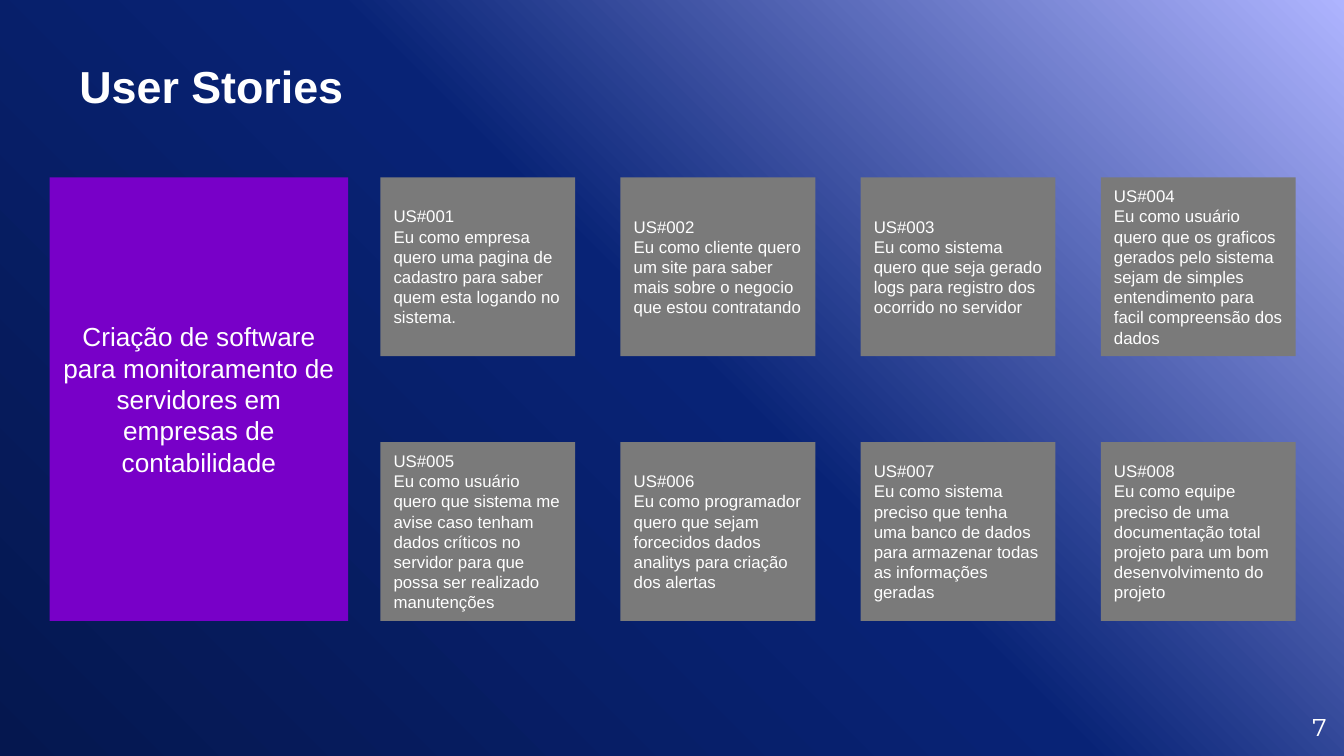
import copy

import pptx
import pptx.dml.color
import pptx.enum.shapes
import pptx.enum.text
import pptx.util
from pptx.util import Inches

RGBColor = pptx.dml.color.RGBColor
Align = pptx.enum.text.PP_ALIGN
Anchor = pptx.enum.text.MSO_ANCHOR

WHITE = RGBColor(0xFF, 0xFF, 0xFF)
PURPLE = RGBColor(0x78, 0x00, 0xC8)
GRAY = RGBColor(0x7A, 0x7A, 0x7A)
BACKGROUND_STOPS = [
    (0, RGBColor(0xAE, 0xB4, 0xFF)),
    (0.48, RGBColor(0x08, 0x23, 0x76)),
    (1, RGBColor(0x05, 0x17, 0x4F)),
]

GOAL = "Criação de software para monitoramento de servidores em empresas de contabilidade"
STORIES = [
    "Eu como empresa quero uma pagina de cadastro para saber quem esta logando no sistema.",
    "Eu como cliente quero um site para saber mais sobre o negocio que estou contratando",
    "Eu como sistema quero que seja gerado logs para registro dos ocorrido no servidor",
    "Eu como usuário quero que os graficos gerados pelo sistema sejam de simples "
    "entendimento para facil compreensão dos dados",
    "Eu como usuário quero que sistema me avise caso tenham dados críticos no servidor "
    "para que possa ser realizado manutenções",
    "Eu como programador quero que sejam forcecidos dados analitys para criação dos alertas",
    "Eu como sistema preciso que tenha uma banco de dados para armazenar todas as "
    "informações geradas",
    "Eu como equipe preciso de uma documentação total projeto para um bom "
    "desenvolvimento do projeto",
]
COLUMNS, ROWS = 4, 2
CARD_WIDTH, CARD_HEIGHT = 1.45, 1.33


def write_lines(frame, lines, size, align, font="Arial", bold=False):
    frame.word_wrap = True
    frame.text = "\n".join(lines)
    for paragraph in frame.paragraphs:
        paragraph.alignment = align
        paragraph.font.size = pptx.util.Pt(size)
        paragraph.font.name = font
        paragraph.font.bold = bold
        paragraph.font.color.rgb = WHITE


def remove_margins(frame):
    frame.margin_left = frame.margin_right = 0
    frame.margin_top = frame.margin_bottom = 0


def paint_background(slide):
    fill = slide.background.fill
    fill.gradient()
    fill.gradient_angle = 225  # counter-clockwise: from top right to bottom left
    # The default gradient has two stops; a third is needed
    stop_list = fill._fill._gradFill.gsLst
    stop_list.append(copy.deepcopy(stop_list[-1]))
    for stop, (position, color) in zip(fill.gradient_stops, BACKGROUND_STOPS):
        stop.position = position
        stop.color.rgb = color


def place_title(slide, left, top, width, height):
    title = slide.shapes.title
    title.left, title.top = Inches(left), Inches(top)
    title.width, title.height = Inches(width), Inches(height)
    frame = title.text_frame
    write_lines(frame, ["User Stories"], 24, Align.LEFT, bold=True)
    remove_margins(frame)
    frame.auto_size = pptx.enum.text.MSO_AUTO_SIZE.NONE
    frame.vertical_anchor = Anchor.TOP
    heading = frame.paragraphs[0]
    heading.line_spacing = 1.15
    properties = heading._p.get_or_add_pPr()
    properties.set("marL", str(Inches(0.5)))
    properties.set("indent", str(Inches(-0.38)))


def add_card(slide, left, top, width, height, color, lines, size, align):
    card = slide.shapes.add_shape(
        pptx.enum.shapes.MSO_SHAPE.RECTANGLE,
        Inches(left), Inches(top), Inches(width), Inches(height))
    card.shadow.inherit = False
    card.fill.solid()
    card.fill.fore_color.rgb = color
    card.line.fill.background()
    card.text_frame.vertical_anchor = Anchor.MIDDLE
    write_lines(card.text_frame, lines, size, align)


def add_story_grid(slide, left, top, width, height):
    column_step = (width - CARD_WIDTH) / (COLUMNS - 1)
    row_step = (height - CARD_HEIGHT) / (ROWS - 1)
    for index, story in enumerate(STORIES):
        row, column = divmod(index, COLUMNS)
        add_card(slide, left + column * column_step, top + row * row_step,
                 CARD_WIDTH, CARD_HEIGHT, GRAY,
                 [f"US#{index + 1:03}", story], 9, Align.LEFT)


def add_page_number(slide, left, top, width, height):
    number = slide.shapes.add_textbox(
        Inches(left), Inches(top), Inches(width), Inches(height))
    remove_margins(number.text_frame)
    number.text_frame.vertical_anchor = Anchor.MIDDLE
    write_lines(number.text_frame, ["7"], 13, Align.RIGHT, font="Montserrat")


def main():
    presentation = pptx.Presentation()
    presentation.slide_width = Inches(10)
    presentation.slide_height = presentation.slide_width * 9 // 16
    slide = presentation.slides.add_slide(presentation.slide_layouts[5])

    paint_background(slide)
    add_page_number(slide, 9.27, 5.19, 0.6, 0.43)
    place_title(slide, 0.47, 0.38, 2.36, 0.46)
    add_card(slide, 0.37, 1.32, 2.22, 3.3, PURPLE, [GOAL], 14, Align.CENTER)
    add_story_grid(slide, 2.83, 1.32, 6.81, 3.3)

    presentation.save("out.pptx")


if __name__ == "__main__":
    main()
